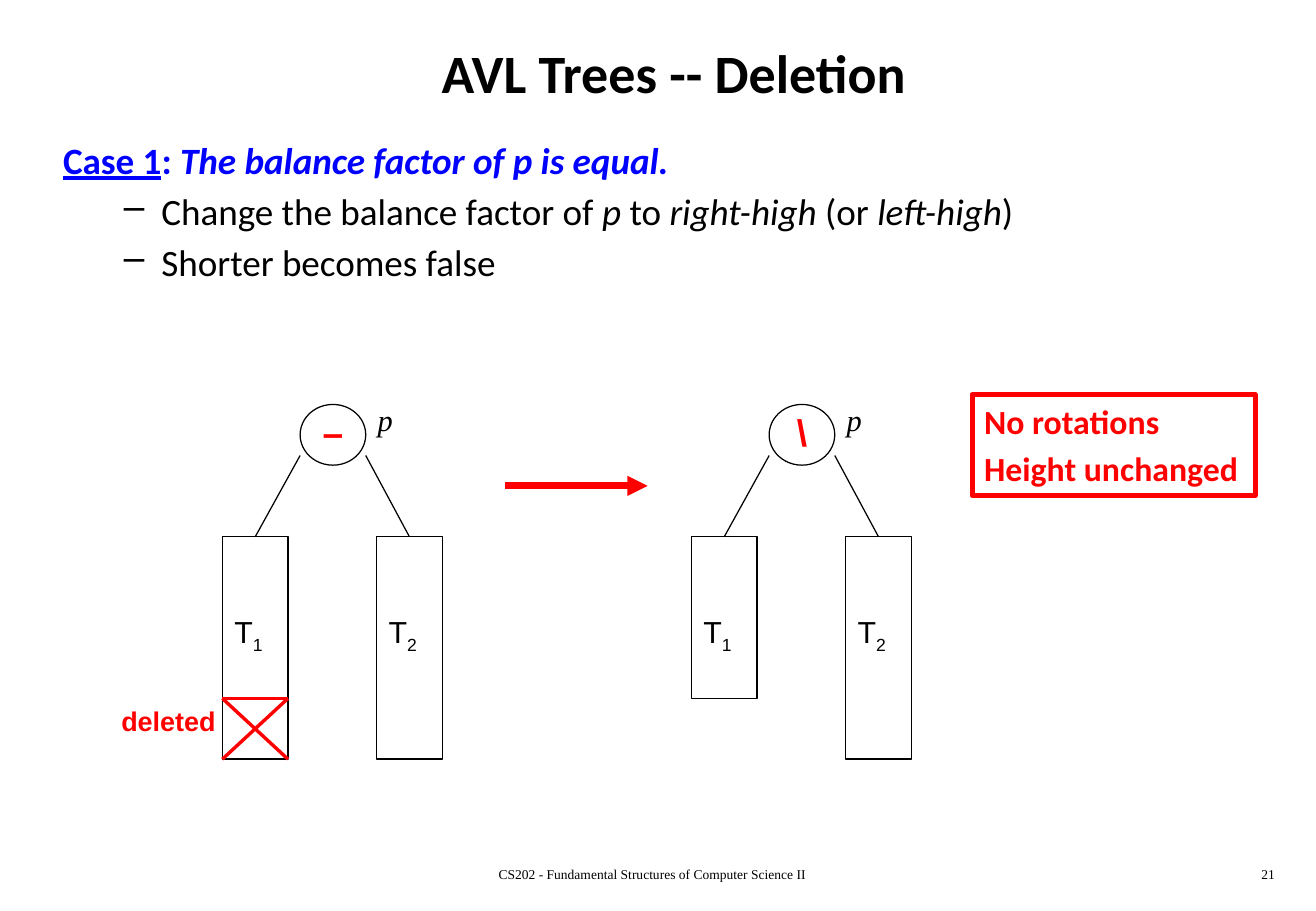
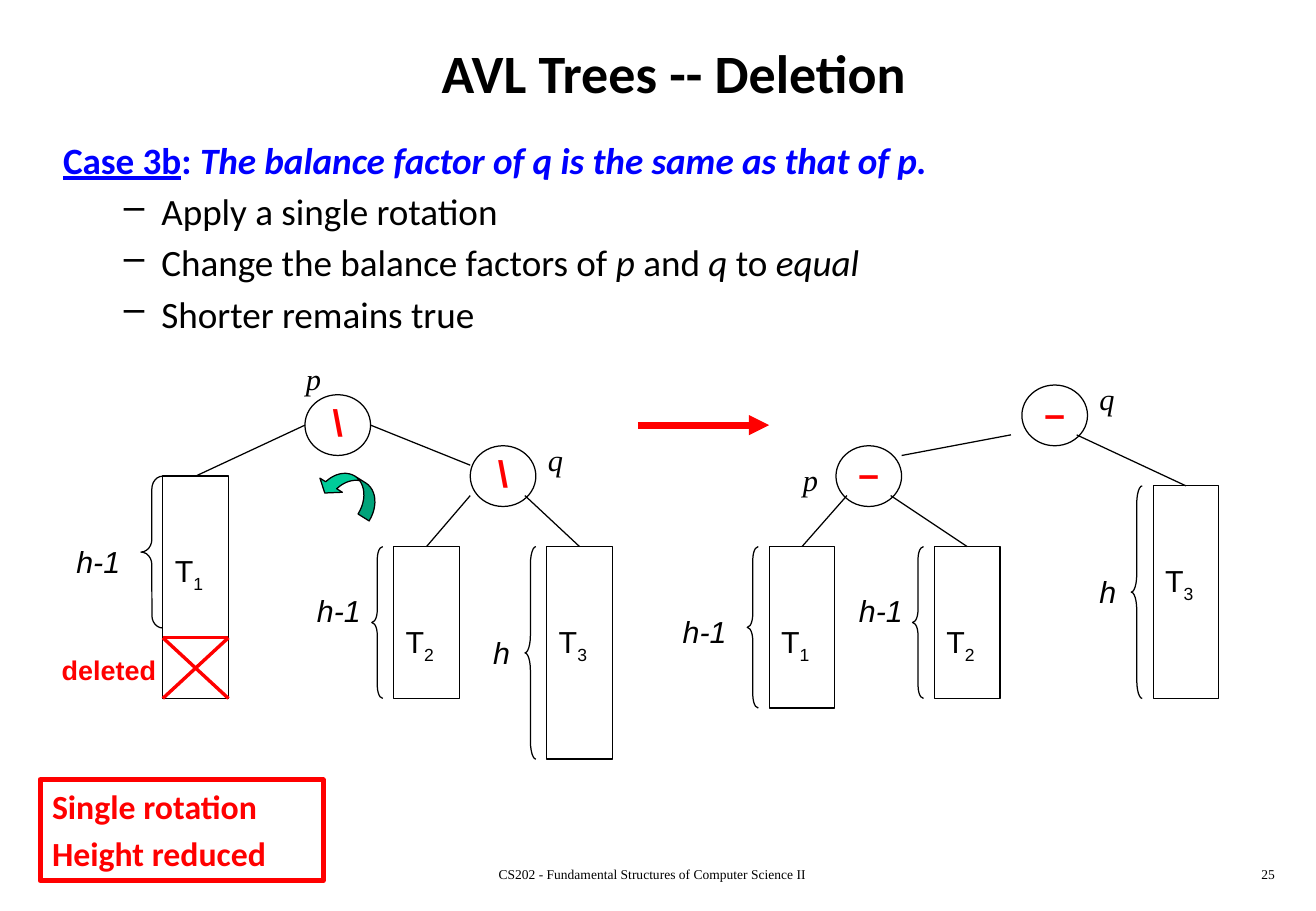
from dataclasses import dataclass

from lxml.etree import SubElement
from pptx import Presentation
from pptx.dml.color import RGBColor
from pptx.enum.shapes import MSO_CONNECTOR, MSO_SHAPE
from pptx.enum.text import MSO_ANCHOR, PP_ALIGN
from pptx.oxml.ns import qn
from pptx.util import Pt

SCALE = 9144  # EMU per px, 100 px to the inch
NODE_W, NODE_H = 54, 50
CROSS_H = 50


@dataclass(frozen=True)
class Theme:
    black: str = "000000"
    white: str = "FFFFFF"
    blue: str = "0000FF"
    red: str = "FF0000"
    green: str = "00CC99"
    head: str = "Calibri"
    sans: str = "Arial"
    serif: str = "Times New Roman"
    title: int = 32
    body: int = 22
    note: int = 20
    label: int = 18
    small: int = 16
    foot: int = 8
    thin: float = 0.75
    mid: int = 2
    wide: int = 3
    thick: int = 4


T = Theme()


def px(n):
    return int(n * SCALE)


def put(para, text, font=T.sans, size=T.label, color=T.black, bold=False,
        italic=False, under=False, sub=False):
    """Add one formatted run to a paragraph."""
    run = para.add_run()
    run.text = text
    face = run.font
    face.name, face.size = font, Pt(size)
    face.bold, face.italic, face.underline = bold, italic, under
    face.color.rgb = RGBColor.from_string(color)
    if sub:
        run._r.get_or_add_rPr().set("baseline", "-25000")


def indent(para, left, first, bullet=None):
    props = para._p.get_or_add_pPr()
    props.set("marL", str(px(left)))
    props.set("indent", str(px(first)))
    if bullet:
        SubElement(props, qn("a:buChar")).set("char", bullet)


class Deck:
    """Holds the presentation, its shared style and the current slide."""

    def __init__(self):
        self.prs = Presentation()
        self.prs.slide_width, self.prs.slide_height = px(1083), px(750)
        self.shapes = None

    def page(self, number, case, claim, points, height):
        """Start a slide; *stars* in a point mark italics."""
        layout = self.prs.slide_layouts[6]
        self.shapes = self.prs.slides.add_slide(layout).shapes
        self.text(42, 17, 1025, 84, "AVL Trees -- Deletion", align=PP_ALIGN.CENTER,
                  anchor=MSO_ANCHOR.MIDDLE, font=T.head, size=T.title, bold=True)
        frame = self.text(42, 108, 908, height, case, font=T.head, size=T.body,
                          color=T.blue, bold=True, under=True)
        lead = frame.paragraphs[0]
        indent(lead, 38, -38)
        for part, slant in ((": ", False), (claim, True)):
            put(lead, part, font=T.head, size=T.body, color=T.blue,
                bold=True, italic=slant)
        for point in points:
            para = frame.add_paragraph()
            para.space_before = Pt(4)
            indent(para, 81, -31, "–")
            for i, part in enumerate(point.split("*")):
                if part:
                    put(para, part, font=T.head, size=T.body, italic=i % 2 == 1)
        foot = dict(font=T.serif, size=T.foot)
        self.text(334, 708, 406, 25, "CS202 - Fundamental Structures of Computer Science II",
                  align=PP_ALIGN.CENTER, **foot)
        self.text(833, 708, 226, 25, str(number), align=PP_ALIGN.RIGHT, **foot)

    def text(self, x, y, w, h, words, align=PP_ALIGN.LEFT,
             anchor=MSO_ANCHOR.TOP, **style):
        frame = self.shapes.add_textbox(px(x), px(y), px(w), px(h)).text_frame
        frame.word_wrap = True
        frame.vertical_anchor = anchor
        para = frame.paragraphs[0]
        para.alignment = align
        put(para, words, **style)
        return frame

    def shape(self, kind, x, y, w, h, fill=None, line=T.black, weight=T.thin):
        item = self.shapes.add_shape(kind, px(x), px(y), px(w), px(h))
        item.shadow.inherit = False
        if fill:
            item.fill.solid()
            item.fill.fore_color.rgb = RGBColor.from_string(fill)
        else:
            item.fill.background()
        item.line.color.rgb = RGBColor.from_string(line)
        item.line.width = Pt(weight)
        return item

    def line(self, x1, y1, x2, y2, color=T.black, weight=T.thin, arrow=False):
        item = self.shapes.add_connector(MSO_CONNECTOR.STRAIGHT,
                                         px(x1), px(y1), px(x2), px(y2))
        item.line.color.rgb = RGBColor.from_string(color)
        item.line.width = Pt(weight)
        if arrow:
            SubElement(item.line._get_or_add_ln(), qn("a:tailEnd")).set("type", "triangle")
        SubElement(item._element.spPr, qn("a:effectLst"))
        return item

    def arrow(self, x1, x2, y):
        self.line(x1, y, x2, y, color=T.red, weight=T.thick, arrow=True)

    def node(self, x, y, sign, name, at):
        """Draw a tree node with its balance sign, and its name at a point."""
        frame = self.shape(MSO_SHAPE.OVAL, x, y, NODE_W, NODE_H).text_frame
        frame.word_wrap = False
        frame.margin_left = frame.margin_right = frame.margin_top = 0
        frame.margin_bottom = px(5)
        frame.vertical_anchor = MSO_ANCHOR.MIDDLE
        frame.paragraphs[0].alignment = PP_ALIGN.CENTER
        put(frame.paragraphs[0], sign, size=T.body, color=T.red, bold=True)
        self.text(*at, 63, 40, name, font=T.serif, italic=True)

    def tree(self, x, y, h, index, start):
        """Draw a subtree, joined at its top to an edge from start."""
        box = self.shape(MSO_SHAPE.RECTANGLE, x, y, NODE_W, h)
        frame = box.text_frame
        frame.word_wrap = False
        frame.vertical_anchor = MSO_ANCHOR.TOP
        frame.margin_top = px(63)
        para = frame.paragraphs[0]
        para.alignment = PP_ALIGN.LEFT
        put(para, "T")
        put(para, str(index), sub=True)
        self.line(*start, x + NODE_W // 2, y).end_connect(box, 0)

    def brace(self, x, y, h, words, at, w=9):
        """Draw a brace left of the subtree at x, with its height at a point."""
        item = self.shape(MSO_SHAPE.LEFT_BRACE, x - 18, y, w, h)
        item.adjustments[0] = h / 12 / w
        self.text(*at, 90, 40, words, italic=True)

    def cross(self, x, y, drop):
        """Cross out the foot of a subtree, its label lowered by drop."""
        right, low = x + NODE_W, y + CROSS_H
        for ends in ((x, y, right, y), (x, y, right, low), (right, y, x, low)):
            self.line(*ends, color=T.red, weight=T.mid)
        self.text(x - 93, y + drop, 126, 37, "deleted", size=T.small,
                  color=T.red, bold=True)

    def turn(self, x, y, w, h):
        """Draw the rotation arrow."""
        item = self.shape(MSO_SHAPE.CURVED_LEFT_ARROW, x, y, w, h, fill=T.green)
        for i, value in enumerate((0.43, 0.87, 0.33)):
            item.adjustments[i] = value
        item.rotation = 302.2
        item._element.spPr.find(qn("a:xfrm")).set("flipV", "1")

    def note(self, x, y, lines):
        frame = self.shape(MSO_SHAPE.RECTANGLE, x, y, 233, 83, fill=T.white,
                           line=T.red, weight=T.wide).text_frame
        frame.vertical_anchor = MSO_ANCHOR.TOP
        for i, words in enumerate(lines):
            para = frame.add_paragraph() if i else frame.paragraphs[0]
            para.alignment = PP_ALIGN.LEFT
            para.space_before = Pt(4 if i else 0)
            indent(para, 38, -38)
            put(para, words, font=T.head, size=T.note, color=T.red, bold=True)


def equal(deck):
    deck.page(21, "Case 1", "The balance factor of p is equal.",
              ["Change the balance factor of *p* to *right-high* (or *left-high*)",
               "Shorter becomes false"], 158)
    for x, sign, left in ((247, "–", 183), (633, "\\", 133)):
        deck.node(x, 333, sign, "p", (x + NODE_W, 325))
        deck.tree(x - 64, 442, left, 1, (x, 375))
        deck.tree(x + 63, 442, 183, 2, (x + NODE_W, 375))
    deck.cross(183, 575, 0)
    deck.arrow(416, 533, 400)
    deck.note(800, 325, ["No rotations", "Height unchanged"])


def single(deck):
    deck.page(25, "Case 3b", "The balance factor of q is the same as that of p.",
              ["Apply a single rotation",
               "Change the balance factors of *p *and *q *to *equal*",
               "Shorter remains true"], 175)
    for spot in ((251, 325, "\\", "p", (242, 292)), (387, 367, "\\", "q", (441, 358)),
                 (841, 317, "–", "q", (895, 308)), (688, 367, "–", "p", (651, 375))):
        deck.node(*spot)
    for ends in ((305, 350, 387, 383), (832, 358, 742, 375)):
        deck.line(*ends)
    for spot in ((134, 392, 183, 1, (251, 350)), (324, 450, 125, 2, (387, 408)),
                 (450, 450, 175, 3, (432, 408)), (633, 450, 133, 1, (697, 408)),
                 (769, 450, 125, 2, (733, 408)), (949, 400, 175, 3, (886, 358))):
        deck.tree(*spot)
    deck.brace(134, 392, 125, "h-1", (53, 442), w=18)
    for spot in ((324, 450, 125, "h-1", (251, 483)), (450, 450, 175, "h", (396, 517)),
                 (633, 450, 133, "h-1", (552, 500)), (769, 450, 125, "h-1", (697, 483)),
                 (949, 400, 175, "h", (895, 467))):
        deck.brace(*spot)
    deck.cross(134, 525, 8)
    deck.turn(275, 377, 25, 54)
    deck.arrow(525, 633, 350)
    deck.note(33, 642, ["Single rotation", "Height reduced"])


def main():
    deck = Deck()
    equal(deck)
    single(deck)
    deck.prs.save("out.pptx")


if __name__ == "__main__":
    main()
